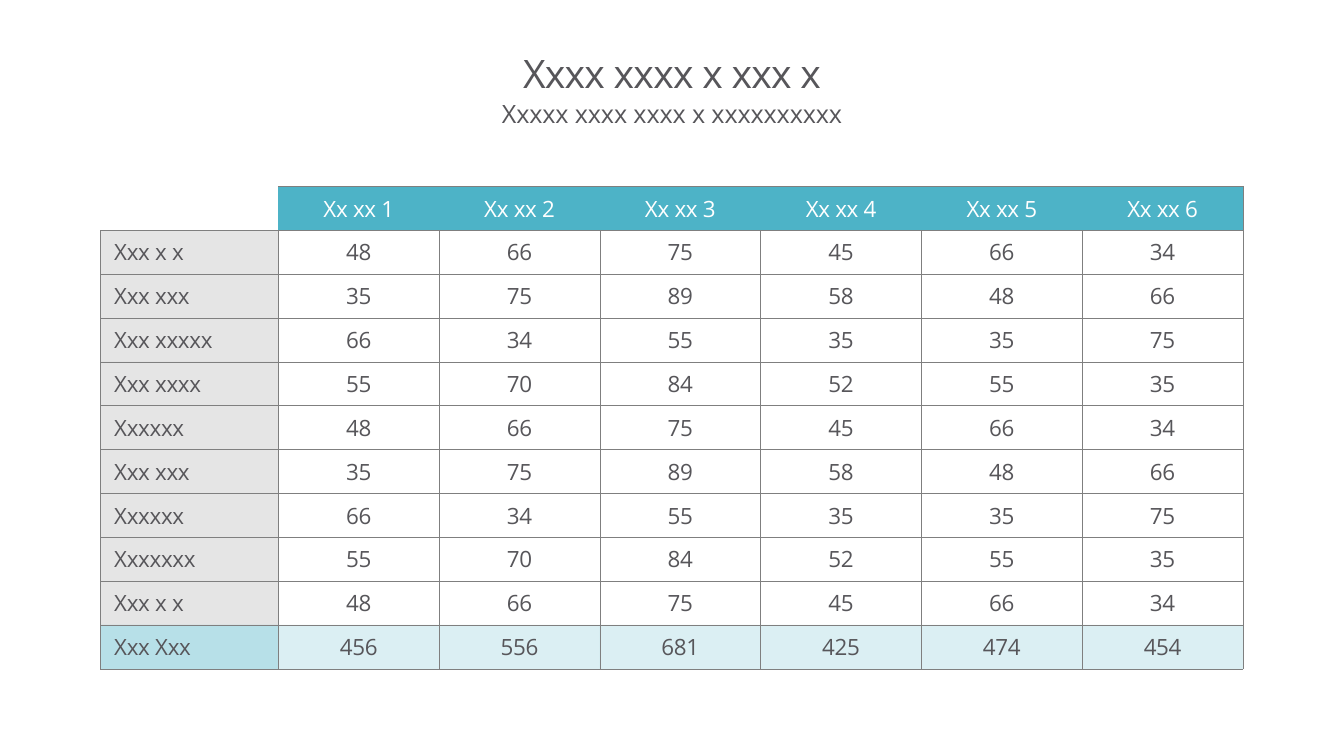
from itertools import cycle
from lxml.etree import SubElement as Sub
from pptx import Presentation
from pptx.dml.color import RGBColor as RGB
from pptx.enum.text import MSO_ANCHOR as Anchor, MSO_AUTO_SIZE as Fit, PP_ALIGN as Align
from pptx.oxml.ns import qn
from pptx.util import Pt

FONT, GREY, TEAL, WHITE = "Open Sans", "57565A", "4DB3C7", "FFFFFF"
PLAIN = "{2D5ABB26-0587-4C30-8999-92F81FD0307C}"
HEADS = [f"Xx xx {n}" for n in range(1, 7)]
NAMES = ["Xxx x x", "Xxx xxx", "Xxx xxxxx", "Xxx xxxx", "Xxxxxx",
         "Xxx xxx", "Xxxxxx", "Xxxxxxx", "Xxx x x"]
# The figures come round every four rows
CYCLE = [[48, 66, 75, 45, 66, 34], [35, 75, 89, 58, 48, 66],
         [66, 34, 55, 35, 35, 75], [55, 70, 84, 52, 55, 35]]


def color(hue):
    return RGB.from_string(hue)


def fade(node, part):
    """Set the opacity, in percent, of the colour below node."""
    Sub(node.find(".//" + qn("a:srgbClr")), qn("a:alpha"), val=str(part * 1000))


def write(para, text, size, hue, gap, align):
    para.alignment = align
    run = para.add_run()
    run.text = text
    font = run.font
    font.name, font.size = FONT, Pt(size)
    font.color.rgb = color(hue)
    run._r.get_or_add_rPr().set("spc", str(gap))


# Title and subtitle
def heading(shape, box, text, size, gap, anchor):
    shape.left, shape.top, shape.width, shape.height = map(Pt, box)
    frame = shape.text_frame
    frame.margin_left = frame.margin_right = frame.margin_top = frame.margin_bottom = 0
    frame.word_wrap, frame.auto_size = True, Fit.NONE
    frame.vertical_anchor = anchor
    para = frame.paragraphs[0]
    props = para._p.get_or_add_pPr()
    props.set("marL", "0")
    props.set("indent", "0")
    Sub(props, qn("a:buNone"))
    para.line_spacing, para.space_before = 0.86, Pt(0)
    write(para, text, size, GREY, gap, Align.CENTER)


# Table cells
def border(cell, sides):
    props = cell._tc.get_or_add_tcPr()
    for side in "LRTB":
        line = Sub(props, qn("a:ln" + side), w=str(Pt(0.5)))
        if side in sides:
            fill = Sub(line, qn("a:solidFill"))
            Sub(fill, qn("a:srgbClr"), val="7F7F7F")
            fade(line, 50)
        else:
            Sub(line, qn("a:noFill"))


def paint(cell, hue, part):
    if not hue:
        cell.fill.background()
        return
    cell.fill.solid()
    cell.fill.fore_color.rgb = color(hue)
    if part < 100:
        fade(cell._tc.tcPr.find(qn("a:solidFill")), part)


def style(row, col, last, end):
    """Give the border sides, fill colour and opacity of a cell."""
    if row == 0:
        if col == 0:
            return "B", None, 100
        return "TBR" if col == end else "TB", TEAL, 100
    # Left edge of the first figure column is shared with the names
    if row == last:
        return "LRTB", TEAL, 20 if col else 40
    return ("LRTB", None, 100) if col else ("LRTB", "555555", 15)


def grid(slide, box, data):
    left, top, width, height = map(Pt, box)
    last, end = len(data) - 1, len(data[0]) - 1
    table = slide.shapes.add_table(last + 1, end + 1, left, top, width, height).table
    table._tbl.tblPr.find(qn("a:tableStyleId")).text = PLAIN
    table.first_row = table.horz_banding = False
    step = Pt(114.85)
    for col, part in enumerate(table.columns):
        part.width = step if col else width - end * step
    for part in table.rows:
        part.height = height // (last + 1)
    for row, items in enumerate(data):
        for col, item in enumerate(items):
            cell = table.cell(row, col)
            cell.margin_left = cell.margin_right = Pt(9.6)
            cell.margin_top = cell.margin_bottom = Pt(4.8)
            cell.vertical_anchor = Anchor.BOTTOM if row == last and col else Anchor.MIDDLE
            sides, hue, part = style(row, col, last, end)
            border(cell, sides)
            paint(cell, hue, part)
            para = cell.text_frame.paragraphs[0]
            if item == "":
                para.font.size = Pt(16)
                continue
            write(para, str(item), 16, GREY if row else WHITE, -20,
                  Align.CENTER if col else Align.LEFT)


def main():
    deck = Presentation()
    deck.slide_width, deck.slide_height = Pt(960), Pt(540)
    slide = deck.slides.add_slide(deck.slide_layouts[1])
    heading(slide.shapes.title, (72, 22.3, 816, 64.1),
            "Xxxx xxxx x xxx x", 28, -50, Anchor.MIDDLE)
    heading(slide.placeholders[1], (72, 73.4, 816, 31.7),
            "Xxxxx xxxx xxxx x xxxxxxxxxx", 18, -10, Anchor.TOP)
    rows = [nums for _, nums in zip(NAMES, cycle(CYCLE))]
    sums = [sum(nums) for nums in zip(*rows)]
    data = [["", *HEADS], *([name, *nums] for name, nums in zip(NAMES, rows)),
            ["Xxx Xxx", *sums]]
    grid(slide, (72, 133.2, 816, 316.8), data)
    deck.save("out.pptx")


if __name__ == "__main__":
    main()
